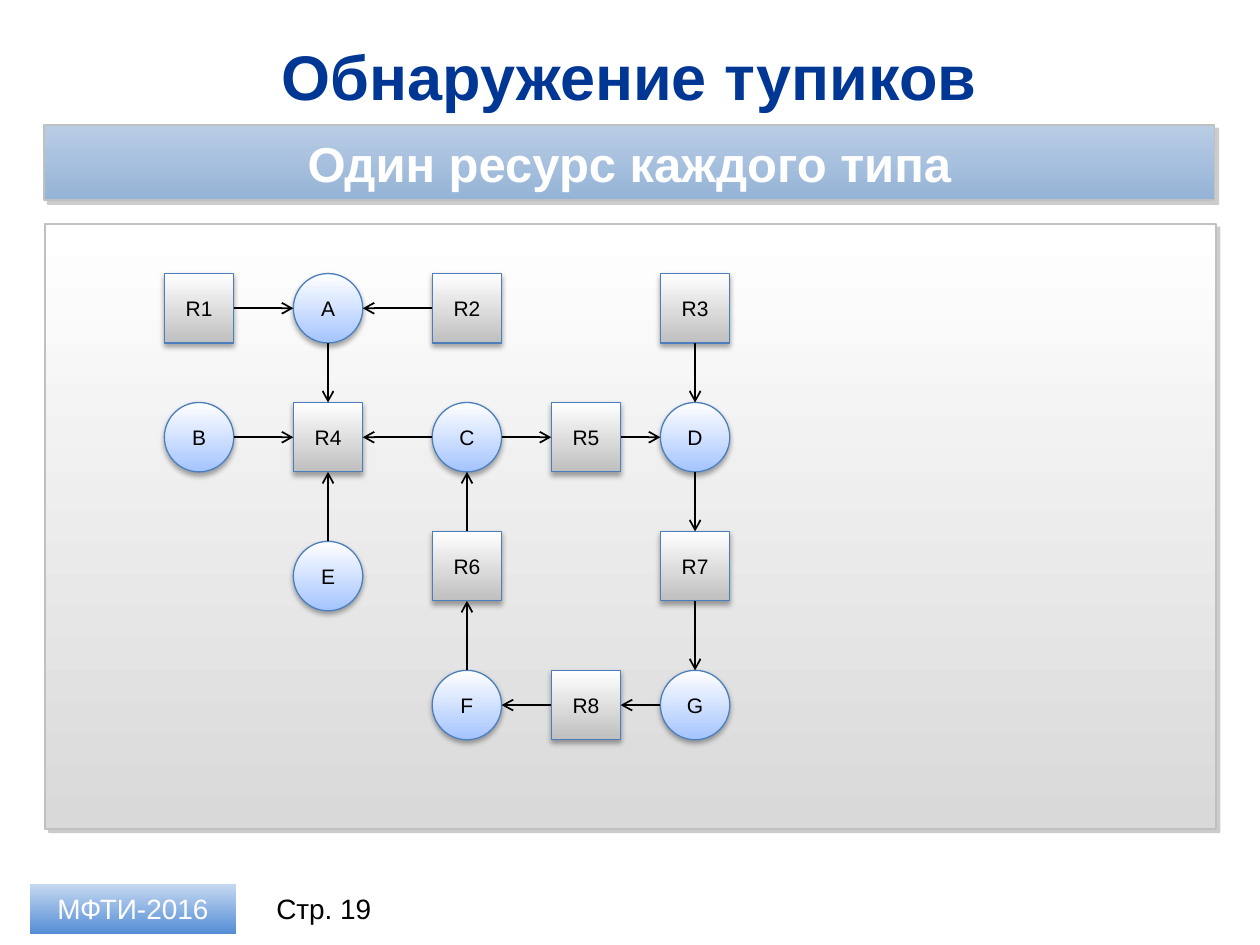
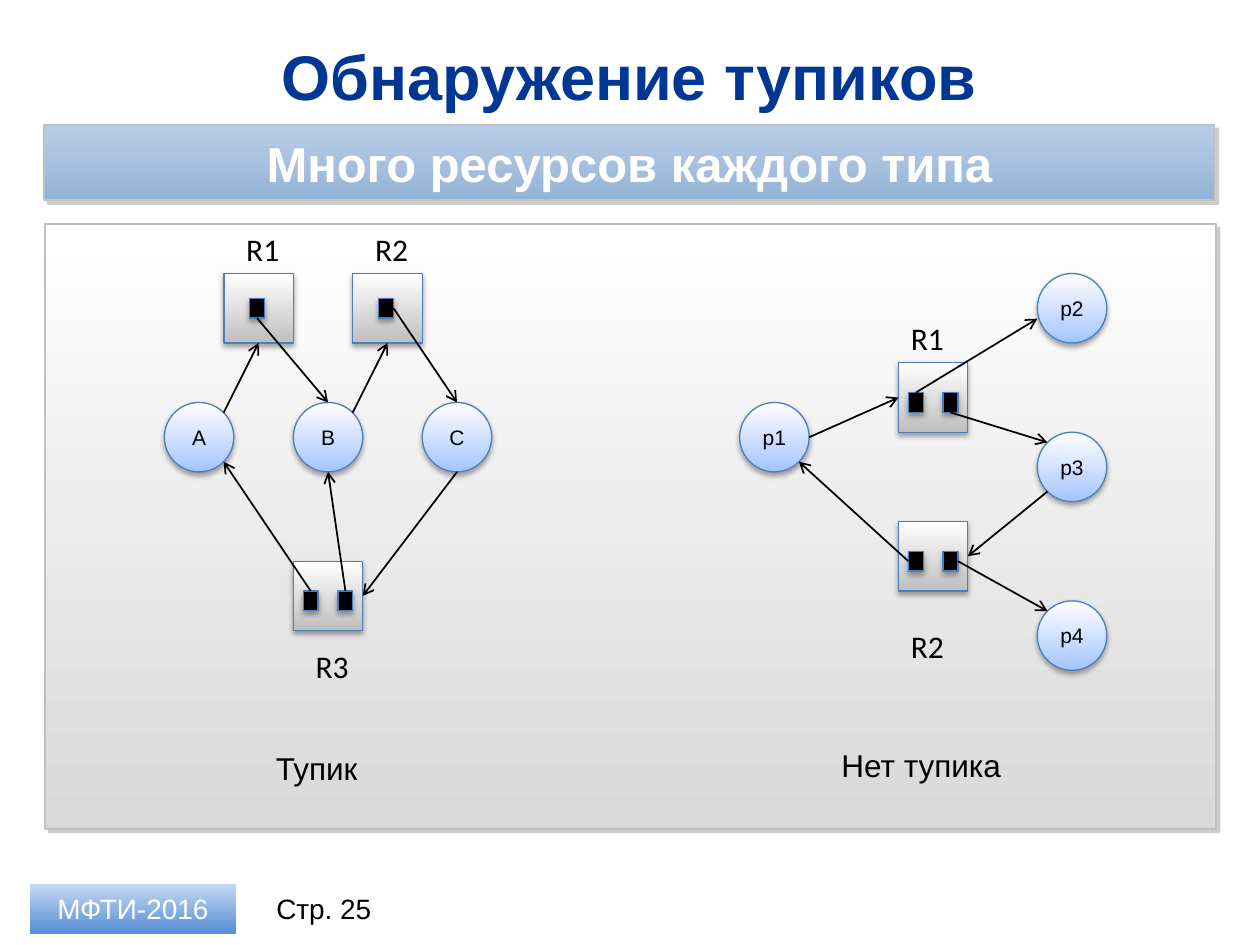
from collections import namedtuple
from lxml import etree
from pptx import Presentation
from pptx.dml.color import RGBColor
from pptx.enum.shapes import MSO_CONNECTOR, MSO_SHAPE
from pptx.enum.text import MSO_ANCHOR, PP_ALIGN
from pptx.oxml.ns import qn
from pptx.util import Inches, Pt

RECT, OVAL = MSO_SHAPE.RECTANGLE, MSO_SHAPE.OVAL
LINE = MSO_CONNECTOR.STRAIGHT
MID, TOP = MSO_ANCHOR.MIDDLE, MSO_ANCHOR.TOP
CENTER, LEFT = PP_ALIGN.CENTER, PP_ALIGN.LEFT

Box = namedtuple("Box", "x y w h")
WIDE, HIGH = 10, 7.5

# Gradients run from top to bottom
BLUE, GREY = ("FFFFFF", "A4C4FF"), ("FFFFFF", "BFBFBF")
PALE, BAND, TAG = ("FFFFFF", "D9D9D9"), ("B9CDE5", "95B3D7"), ("C6D9F1", "558ED5")
NAVY, BLACK, WHITE = "003794", "000000", "FFFFFF"
RIM, EDGE = ("C0C0C0", 1), ("4B7EBC", 0.75)

# Shadows: colour, opacity %, blur pt, distance pt, angle
HARD, SOFT = ("808080", 40, 0, 3, 45), ("000000", 35, 3.1, 1.8, 90)

# The panel is a grid of 118 x 61 cells; a node takes 7 x 7 of them
COLS, NODE = 118, 7
DOT_W, DOT_H = 1.5, 2
ONE, TWO = [(2.6, 2.5)], [(1, 3), (4.5, 3)]  # dot places in a resource

# Where an arrow may touch a shape, as shares of its width and height
DIAG = 0.146
SPOTS = {
    "t": (0.5, 0), "b": (0.5, 1), "l": (0, 0.5), "r": (1, 0.5),
    "tl": (DIAG, DIAG), "tr": (1 - DIAG, DIAG),
    "bl": (DIAG, 1 - DIAG), "br": (1 - DIAG, 1 - DIAG), "low": (0, 0.65),
}


def color(code):
    return RGBColor.from_string(code)


def share(x, y, w, h):
    """Box given as shares of the slide's size."""
    return Box(x * WIDE, y * HIGH, w * WIDE, h * HIGH)


PANE = share(0.036, 0.237, 0.929, 0.64)
CELL = PANE.w / COLS


def cells(box, x, y, w=NODE, h=NODE):
    """Box given in grid cells from the corner of another box."""
    return Box(box.x + x * CELL, box.y + y * CELL, w * CELL, h * CELL)


def inches(box):
    return [Inches(v) for v in box]


def write(shape, text, size, tint, bold=False, face="Arial", align=CENTER, anchor=MID):
    frame = shape.text_frame
    frame.text = text
    frame.word_wrap = True
    frame.vertical_anchor = anchor
    para = frame.paragraphs[0]
    para.alignment = align
    font = para.runs[0].font
    font.size, font.bold, font.name = Pt(size), bold, face
    font.color.rgb = color(tint)


def label(slide, box, text, size, tint=BLACK, **style):
    write(slide.shapes.add_textbox(*inches(box)), text, size, tint, **style)


def cast(shape, tint, alpha, blur, gap, angle):
    """Give a shape an outer shadow."""
    effects = shape._element.spPr.find(qn("a:effectLst"))
    outer = etree.SubElement(effects, qn("a:outerShdw"), blurRad=str(Pt(blur)),
                             dist=str(Pt(gap)), dir=str(angle * 60000),
                             algn="ctr", rotWithShape="0")
    hue = etree.SubElement(outer, qn("a:srgbClr"), val=tint)
    etree.SubElement(hue, qn("a:alpha"), val=str(alpha * 1000))


def block(slide, box, fill, kind=RECT, edge=None, shade=None):
    shape = slide.shapes.add_shape(kind, *inches(box))
    if isinstance(fill, str):
        shape.fill.solid()
        shape.fill.fore_color.rgb = color(fill)
    else:
        shape.fill.gradient()
        shape.fill.gradient_angle = 270
        for stop, code in zip(shape.fill.gradient_stops, fill):
            stop.color.rgb = color(code)
    if edge:
        shape.line.color.rgb = color(edge[0])
        shape.line.width = Pt(edge[1])
    else:
        shape.line.fill.background()
    shape.shadow.inherit = False
    if shade:
        cast(shape, *shade)
    return shape


def arrow(slide, start, end):
    ends = [Inches(v) for v in (*start, *end)]
    link = slide.shapes.add_connector(LINE, *ends)
    link.line.color.rgb = color(BLACK)
    link.line.width = Pt(1)
    etree.SubElement(link.line._get_or_add_ln(), qn("a:tailEnd"), type="arrow")
    etree.SubElement(link._element.spPr, qn("a:effectLst"))


def join(slide, spots, links):
    """Draw arrows written as 'name.side name.side'."""
    def point(mark):
        name, side = mark.split(".")
        box, (fx, fy) = spots[name], SPOTS[side]
        return box.x + fx * box.w, box.y + fy * box.h

    for link in links:
        start, end = link.split()
        arrow(slide, point(start), point(end))


def node(slide, box, text, fill, kind):
    shape = block(slide, box, fill, kind, EDGE, SOFT)
    if text:
        write(shape, text, 12, BLACK)


def base(deck, head, page):
    """Title, band, panel and footer shared by the slides."""
    slide = deck.slides.add_slide(deck.slide_layouts[6])
    label(slide, share(0.035, 0.035, 0.929, 0.09), "Обнаружение тупиков", 36, NAVY, bold=True)
    label(slide, share(0.203, 0.935, 0.108, 0.053), f"Стр. {page}", 16)
    tag = block(slide, share(0.024, 0.935, 0.163, 0.053), TAG)
    write(tag, "МФТИ-2016", 16, WHITE)
    block(slide, PANE, PALE, edge=RIM, shade=HARD)
    band = block(slide, share(0.035, 0.132, 0.929, 0.08), BAND, edge=RIM, shade=HARD)
    write(band, head, 28, WHITE, bold=True)
    return slide


def chain(slide, box, rounds, squares, links):
    """Graph with one resource of each type."""
    spots = {}
    for group, fill, kind in ((rounds, BLUE, OVAL), (squares, GREY, RECT)):
        for name, (x, y) in group.items():
            spots[name] = cells(box, x, y)
            node(slide, spots[name], name, fill, kind)
    join(slide, spots, links)


def graph(slide, box, rounds, stores, links, note):
    """Graph whose resources hold dots, with a note below."""
    spots = {}
    for name, (x, y) in rounds.items():
        spots[name] = cells(box, x, y)
        node(slide, spots[name], name, BLUE, OVAL)
    for name, (x, y, dx, dy, dots) in stores.items():
        spots[name] = cells(box, x, y)
        node(slide, spots[name], "", GREY, RECT)
        label(slide, cells(box, x + dx, y + dy, NODE, 5), name, 18,
              face="Calibri", align=LEFT, anchor=TOP)
        for i, (px, py) in enumerate(dots, 1):
            dot = cells(box, x + px, y + py, DOT_W, DOT_H)
            spots[f"{name}-{i}"] = dot
            block(slide, dot, BLACK, edge=EDGE, shade=SOFT)
    join(slide, spots, links)
    text, x, y, w = note
    label(slide, cells(box, x, y, w, 5), text, 18, align=LEFT, anchor=TOP)


def single(deck):
    slide = base(deck, "Один ресурс каждого типа", 19)
    c1, c2, c3, c4, c5 = 12, 25, 39, 51, 62
    r1, r2, r3, r4 = 5, 18, 31, 45
    chain(
        slide, PANE,
        {"A": (c2, r1), "B": (c1, r2), "C": (c3, r2), "D": (c5, r2),
         "E": (c2, r3 + 1), "F": (c3, r4), "G": (c5, r4)},
        {"R1": (c1, r1), "R2": (c3, r1), "R3": (c5, r1), "R4": (c2, r2),
         "R5": (c4, r2), "R6": (c3, r3), "R7": (c5, r3), "R8": (c4, r4)},
        ["R1.r A.l", "R2.l A.r", "A.b R4.t", "B.r R4.l", "C.l R4.r",
         "E.t R4.b", "C.r R5.l", "R3.b D.t", "R5.r D.l", "D.b R7.t",
         "R6.t C.b", "F.t R6.b", "R7.b G.t", "R8.l F.r", "G.l R8.r"],
    )


def many(deck):
    slide = base(deck, "Много ресурсов каждого типа", 25)
    half = PANE._replace(w=PANE.w / 2)
    # Deadlock
    graph(
        slide, half,
        {"A": (12, 18), "B": (25, 18), "C": (38, 18)},
        {"R1": (18, 5, 1, -5, ONE), "R2": (31, 5, 1, -5, ONE),
         "R3": (25, 34, 1, 8, TWO)},
        ["A.tr R1.b", "R1-1.b B.t", "R3-1.t A.br", "B.tr R2.b",
         "R2-1.r C.t", "C.b R3.r", "R3-2.t B.b"],
        ("Тупик", 22, 52.3, 12.5),
    )
    # No deadlock
    graph(
        slide, half._replace(x=half.x + half.w),
        {"p1": (11, 18), "p2": (41, 5), "p3": (41, 21), "p4": (41, 38)},
        {"R1": (27, 14, 0, -5, TWO), "R2": (27, 30, 0, 10, TWO)},
        ["R1-1.t p2.low", "R1-2.b p3.tl", "R2-1.l p1.br", "R2-2.r p4.tl",
         "p1.r R1.l", "p3.bl R2.r"],
        ("Нет тупика", 20, 52, 22.4),
    )


def main():
    deck = Presentation()
    deck.slide_width, deck.slide_height = Inches(WIDE), Inches(HIGH)
    single(deck)
    many(deck)
    deck.save("out.pptx")


if __name__ == "__main__":
    main()
